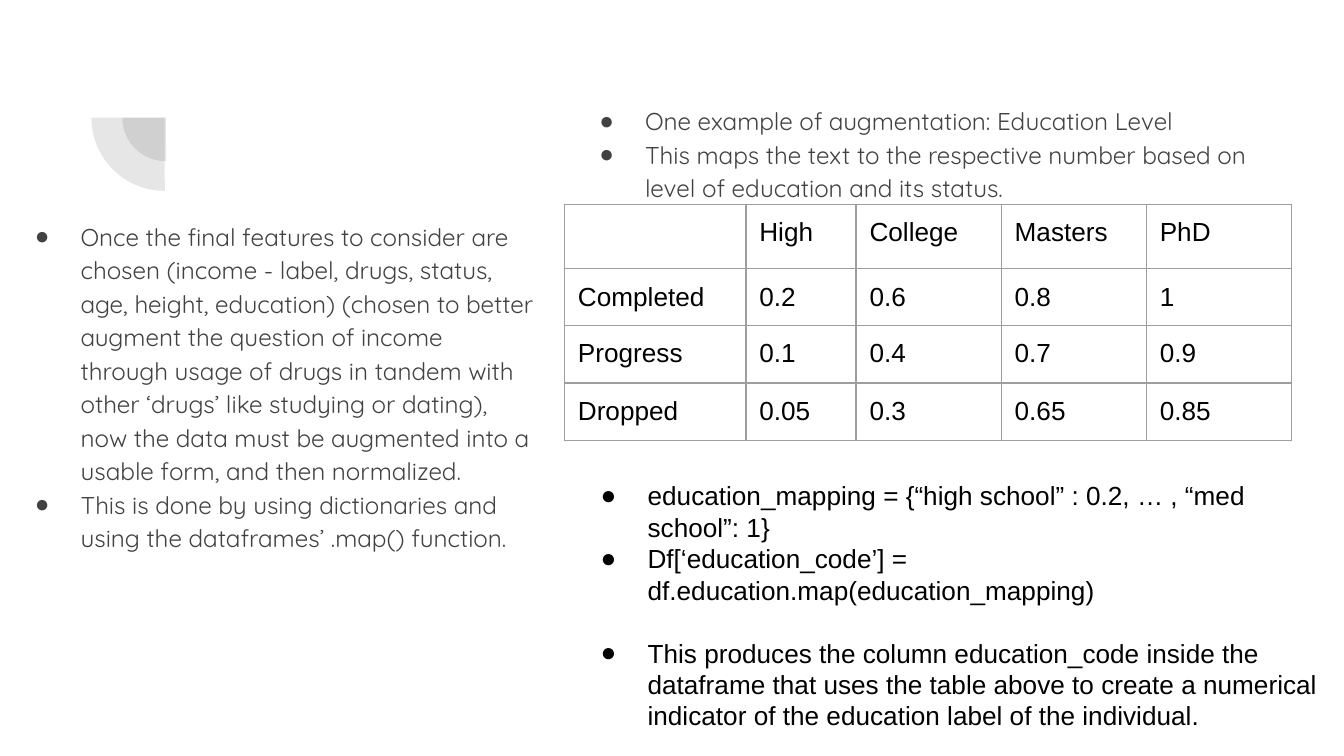
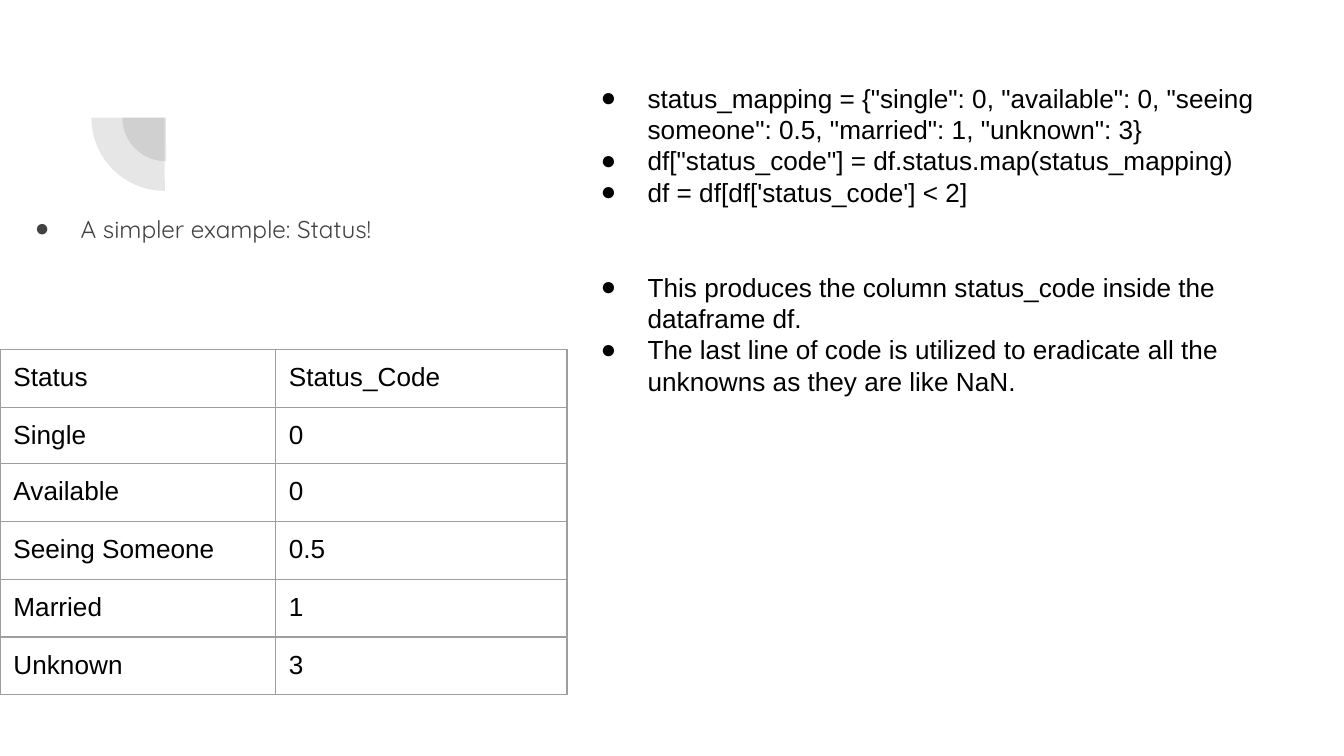
"""Build two slides on mapping education and status text to numbers."""
from dataclasses import dataclass, replace

from lxml import etree
from pptx import Presentation
from pptx import util as u
from pptx.dml.color import RGBColor
from pptx.enum import shapes, text
from pptx.oxml import ns

HUES = {"ink": "424242", "black": "000000", "rule": "9E9E9E"}
PAD = u.Inches(0.1)


@dataclass(frozen=True)
class Style:
    font: str
    size: int
    hue: str
    hang: float = 0
    lead: float = 1.0


@dataclass(frozen=True)
class Box:
    left: float
    top: float
    width: float
    height: float

    def inches(self) -> tuple:
        return tuple(map(u.Inches, (self.left, self.top, self.width, self.height)))


@dataclass(frozen=True)
class Item:
    words: str
    gap: int = 0


@dataclass(frozen=True)
class Grid:
    left: float
    top: float
    widths: tuple
    rows: tuple


BODY = Style("Quicksand", 13, "ink", 0.34, 1.15)
CELL = Style("Arial", 14, "black")
CODE = replace(CELL, hang=0.35)

LEVELS = Grid(4.2, 1.52, (1.35, 0.82, 1.08, 1.08, 1.08), (
    ("", "High", "College", "Masters", "PhD"),
    ("Completed", "0.2", "0.6", "0.8", "1"),
    ("Progress", "0.1", "0.4", "0.7", "0.9"),
    ("Dropped", "0.05", "0.3", "0.65", "0.85"),
))
STATUS = Grid(0, 2.6, (2.05, 2.17), (
    ("Status", "Status_Code"),
    ("Single", "0"),
    ("Available", "0"),
    ("Seeing Someone", "0.5"),
    ("Married", "1"),
    ("Unknown", "3"),
))


def add_sub(node, tag: str, **attrs: str):
    """Append a drawing element to a node."""
    return etree.SubElement(node, ns.qn(tag), **attrs)


def paint(node, hue: str):
    """Append a solid fill and return its colour element."""
    return add_sub(add_sub(node, "a:solidFill"), "a:srgbClr", val=HUES[hue])


def write(par, words: str, *, style: Style, gap: int = 0) -> None:
    """Put formatted text in a paragraph, with a bullet if it hangs."""
    run = par.add_run()
    run.text = words
    run.font.name, run.font.size = style.font, u.Pt(style.size)
    run.font.color.rgb = RGBColor.from_string(HUES[style.hue])
    par.line_spacing, par.space_before = style.lead, u.Pt(gap)
    if style.hang:
        props = par._p.get_or_add_pPr()
        props.set("marL", str(u.Inches(0.5)))
        props.set("indent", str(-u.Inches(style.hang)))
        add_sub(add_sub(props, "a:buClr"), "a:srgbClr", val=HUES[style.hue])
        add_sub(props, "a:buFont", typeface="Arial")
        add_sub(props, "a:buChar", char="●")


def fill_list(shape, box: Box, items: tuple, style: Style) -> None:
    """Place a text shape and write its bulleted items."""
    shape.left, shape.top, shape.width, shape.height = box.inches()
    frame = shape.text_frame
    frame.word_wrap, frame.auto_size = True, text.MSO_AUTO_SIZE.NONE
    frame.vertical_anchor = text.MSO_ANCHOR.TOP
    frame.margin_left = frame.margin_right = PAD
    frame.margin_top = frame.margin_bottom = PAD
    for num, item in enumerate(items):
        par = frame.add_paragraph() if num else frame.paragraphs[0]
        write(par, item.words, style=style, gap=item.gap)


def add_code(slide, box: Box, items: tuple) -> None:
    """Add a text box of code notes."""
    fill_list(slide.shapes.add_textbox(*box.inches()), box, items, CODE)


def rule_cell(cell) -> None:
    """Draw the four borders of a cell and clear its fill."""
    props = cell._tc.get_or_add_tcPr()
    for side in "LRTB":
        paint(add_sub(props, f"a:ln{side}", w=str(u.Pt(0.75))), "rule")
    cell.fill.background()


def add_grid(slide, grid: Grid) -> None:
    """Add a ruled table."""
    tall = [0.42 if num == 1 else 0.43 for num in range(len(grid.rows))]
    box = Box(grid.left, grid.top, sum(grid.widths), sum(tall))
    table = slide.shapes.add_table(
        len(grid.rows), len(grid.widths), *box.inches()).table
    table.first_row = table.horz_banding = False
    for col, width in zip(table.columns, grid.widths):
        col.width = u.Inches(width)
    for row, height, words in zip(table.rows, tall, grid.rows):
        row.height = u.Inches(height)
        for cell, word in zip(row.cells, words):
            cell.margin_left = cell.margin_right = PAD
            cell.margin_top = cell.margin_bottom = PAD
            rule_cell(cell)
            par = cell.text_frame.paragraphs[0]
            if word:
                write(par, word, style=CELL)
            else:
                tail = add_sub(par._p, "a:endParaRPr", sz="1800")
                add_sub(tail, "a:latin", typeface=CELL.font)


def add_mark(slide, layout) -> None:
    """Put the two quarter discs on the shared layout."""
    for box in (Box(0.91, 0.55, 0.65, 0.65), Box(0.68, 0.33, 1.09, 1.09)):
        disc = slide.shapes.add_shape(shapes.MSO_SHAPE.PIE, *box.inches())
        disc.adjustments[0], disc.adjustments[1] = 107.93, 162
        disc.rotation = 270
        disc.shadow.inherit = False
        disc.line.fill.background()
        disc.fill.solid()
        disc.fill.fore_color.rgb = RGBColor.from_string(HUES["ink"])
        tint = disc.element.spPr.find(".//" + ns.qn("a:srgbClr"))
        add_sub(tint, "a:alpha", val="13000")
        layout.shapes.element.append(disc.element)


def add_slide(deck, layout, lists: tuple):
    """Add a slide, fill its body placeholders and drop the spare ones."""
    slide = deck.slides.add_slide(layout)
    title, *bodies = list(slide.placeholders)
    for body, (box, items) in zip(bodies, lists):
        fill_list(body, box, items, BODY)
    for spare in (title, *bodies[len(lists):]):
        spare.element.getparent().remove(spare.element)
    return slide


def main() -> None:
    """Build and save the deck."""
    deck = Presentation()
    deck.slide_width = u.Inches(10)
    deck.slide_height = u.Inches(10 * 9 / 16)
    layout = deck.slide_layouts[3]

    first = add_slide(deck, layout, (
        (Box(0, 1.52, 4.07, 3.75), (
            Item("Once the final features to consider are chosen (income - label, "
                 "drugs, status, age, height, education) (chosen to better augment "
                 "the question of income through usage of drugs in tandem with other "
                 "‘drugs’ like studying or dating), now the data must be augmented "
                 "into a usable form, and then normalized."),
            Item("This is done by using dictionaries and using the dataframes’ "
                 ".map() function."))),
        (Box(4.2, 0.66, 5.4, 0.41), (
            Item("One example of augmentation: Education Level"),
            Item("This maps the text to the respective number based on level of "
                 "education and its status."))),
    ))
    add_mark(first, layout)
    add_grid(first, LEVELS)
    add_code(first, Box(4.22, 3.47, 5.78, 2.02), (
        Item("education_mapping = {“high school” : 0.2, … , “med school”: 1}"),
        Item("Df[‘education_code’] = df.education.map(education_mapping)"),
        Item("This produces the column education_code inside the dataframe that "
             "uses the table above to create a numerical indicator of the "
             "education label of the individual.", gap=17),
    ))

    second = add_slide(deck, layout, (
        (Box(0, 1.46, 5.4, 0.41), (Item("A simpler example: Status!"),)),
    ))
    add_grid(second, STATUS)
    add_code(second, Box(4.22, 0.51, 5.78, 4.98), (
        Item('status_mapping = {"single": 0, "available": 0, "seeing someone": 0.5, '
             '"married": 1, "unknown": 3}'),
        Item('df["status_code"] = df.status.map(status_mapping)'),
        Item("df = df[df['status_code'] < 2]"),
        Item("This produces the column status_code inside the dataframe df.", gap=34),
        Item("The last line of code is utilized to eradicate all the unknowns as "
             "they are like NaN."),
    ))
    deck.save("out.pptx")


if __name__ == "__main__":
    main()
